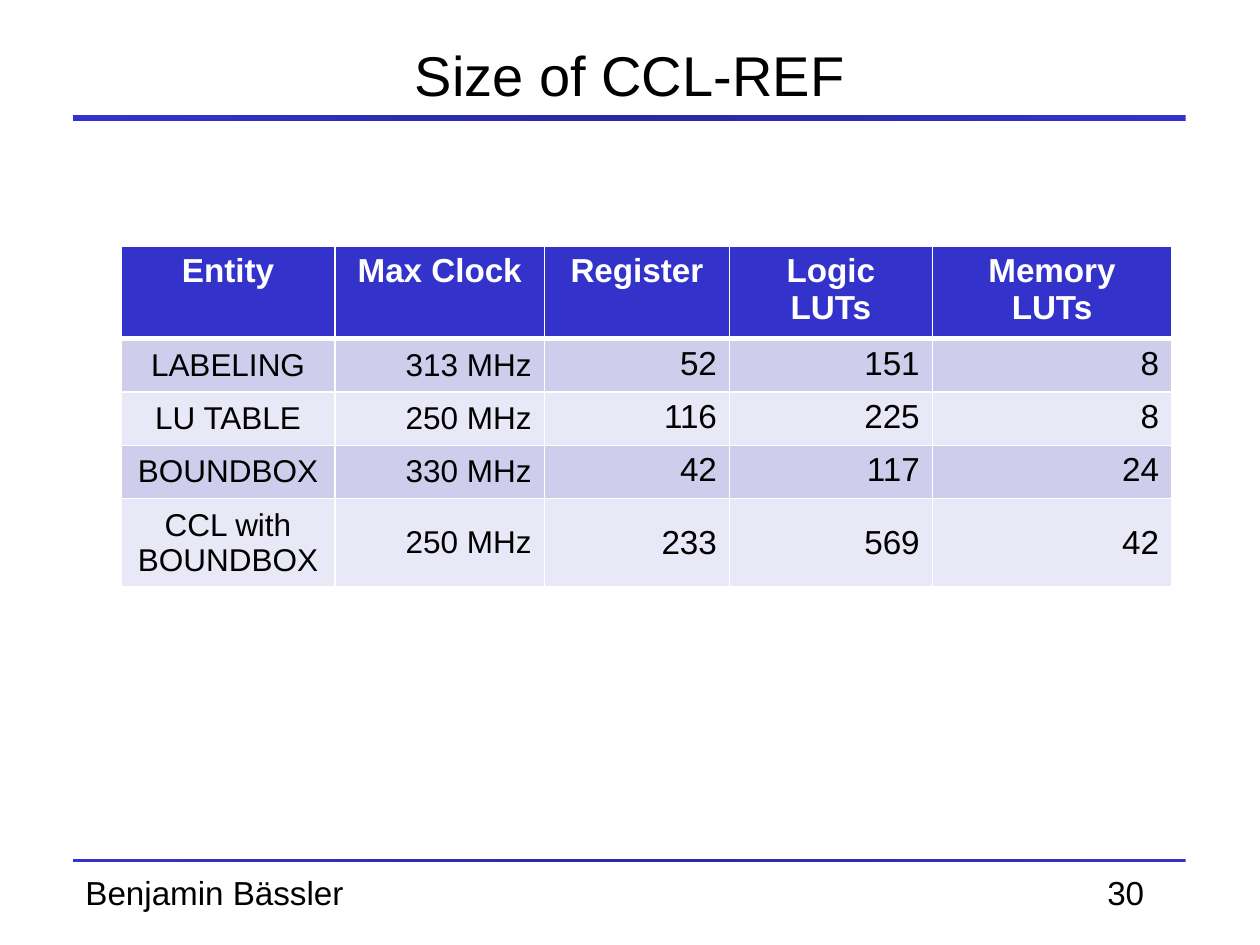
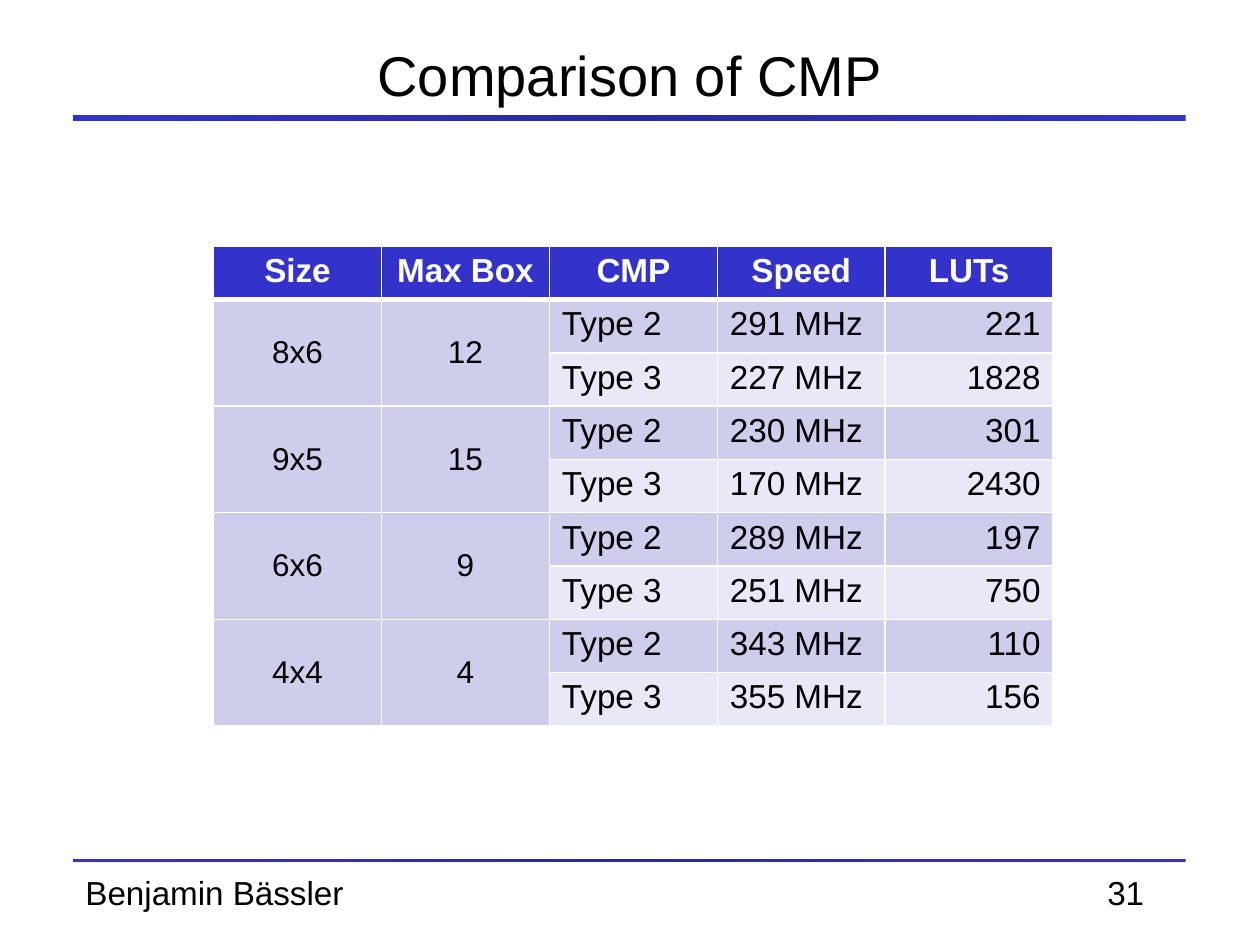
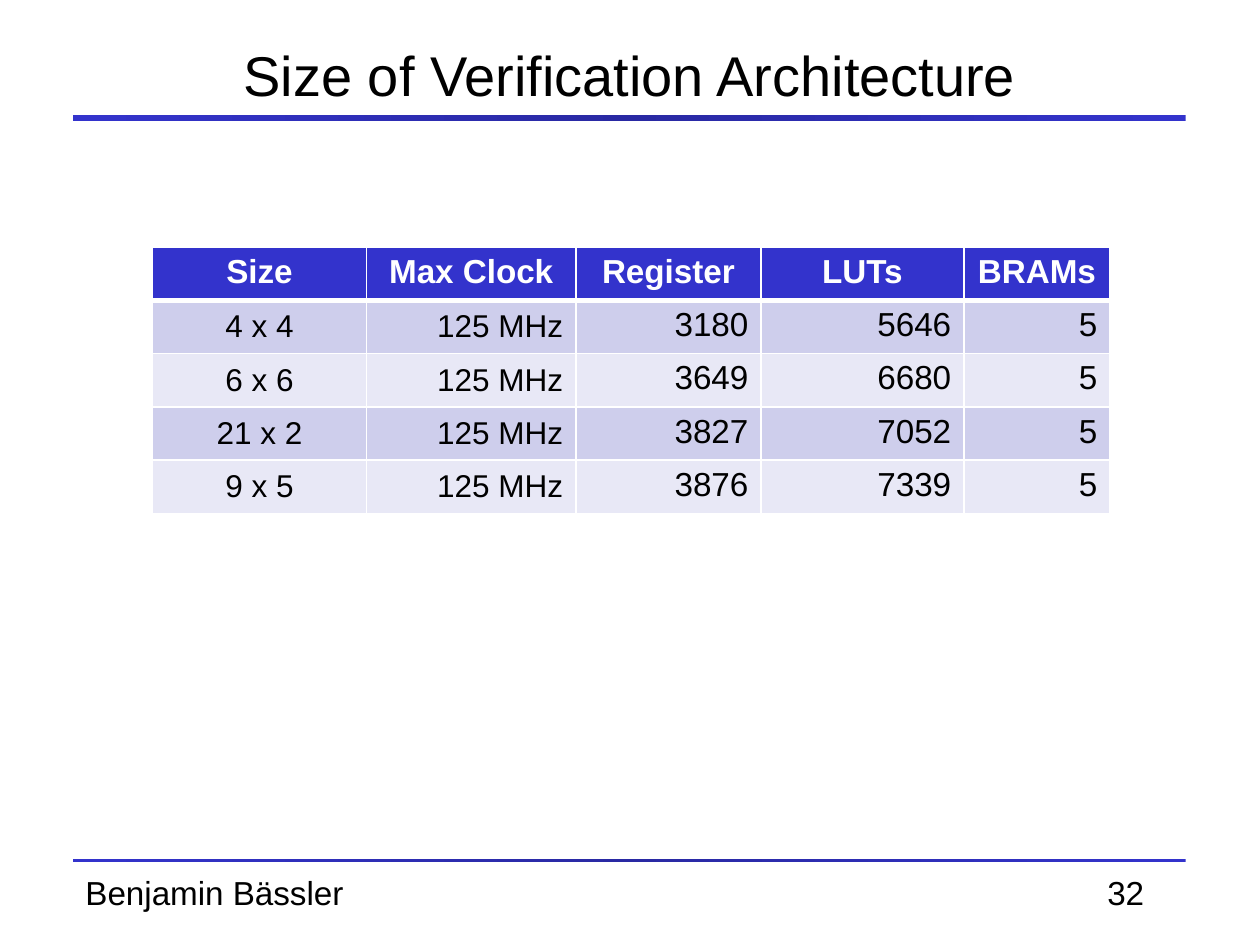
import copy

import pptx
import pptx.dml.color
import pptx.enum.shapes
import pptx.enum.text
import pptx.oxml.ns
import pptx.oxml.xmlchemy
import pptx.util
from lxml import etree

COLORS = {
    "ink": "000000",
    "white": "FFFFFF",
    "blue": "3333CC",
    "deep": "2929A3",
    "band": "CECEEC",
    "pale": "E8E8F6",
}
FONT = "Arial"
AUTHOR = "Benjamin Bässler"
FIRST_NUMBER = 30

ALIGN = {
    "l": pptx.enum.text.PP_ALIGN.LEFT,
    "c": pptx.enum.text.PP_ALIGN.CENTER,
    "r": pptx.enum.text.PP_ALIGN.RIGHT,
}
TOP = pptx.enum.text.MSO_ANCHOR.TOP
MIDDLE = pptx.enum.text.MSO_ANCHOR.MIDDLE

deck = pptx.Presentation()
deck.slide_width = pptx.util.Inches(10)
deck.slide_height = pptx.util.Inches(7.5)

# Layout grid: 100 columns by 75 rows
COLUMN = deck.slide_width / 100
ROW = deck.slide_height / 75


def place(box):
    left, top, width, height = box
    return (round(left * COLUMN), round(top * ROW),
            round(width * COLUMN), round(height * ROW))


def rgb(name):
    return pptx.dml.color.RGBColor.from_string(COLORS[name])


def write(frame, text, size=19, color="ink", bold=False, align="l"):
    para = frame.paragraphs[0]
    para.alignment = ALIGN[align]
    span = para.add_run()
    span.text = text
    span.font.name = FONT
    span.font.size = pptx.util.Pt(size)
    span.font.bold = bold
    span.font.color.rgb = rgb(color)


def add_text(page, box, text, anchor=TOP, **style):
    frame = page.shapes.add_textbox(*place(box)).text_frame
    frame.word_wrap = True
    frame.vertical_anchor = anchor
    write(frame, text, **style)


def add_rule(page, box):
    """A thin bar that fades from blue to deep blue and back."""
    bar = page.shapes.add_shape(pptx.enum.shapes.MSO_SHAPE.RECTANGLE, *place(box))
    bar.shadow.inherit = False
    bar.line.fill.background()
    bar.fill.gradient()
    bar.fill.gradient_angle = 0
    stops = bar._element.spPr.find(".//" + pptx.oxml.ns.qn("a:gsLst"))
    stops.append(copy.deepcopy(stops[-1]))
    fade = ((0, "blue"), (0.5, "deep"), (1, "blue"))
    for stop, (position, color) in zip(bar.fill.gradient_stops, fade):
        stop.position = position
        stop.color.rgb = rgb(color)


def add_borders(cell, top=1, bottom=1):
    properties = cell._tc.get_or_add_tcPr()
    for side, points in (("L", 1), ("R", 1), ("T", top), ("B", bottom)):
        line = etree.SubElement(properties, pptx.oxml.ns.qn("a:ln" + side),
                                w=str(pptx.util.Pt(points)))
        fill = etree.SubElement(line, pptx.oxml.ns.qn("a:solidFill"))
        etree.SubElement(fill, pptx.oxml.ns.qn("a:srgbClr"), val=COLORS["white"])


def add_frame(page, title, number):
    """Title, the two rules and the footer."""
    add_rule(page, (5.8, 9.1, 88.3, 0.5))
    add_rule(page, (5.8, 68.2, 88.3, 0.2))
    add_text(page, (5.8, 68.7, 27.7, 4.2), AUTHOR)
    add_text(page, (86.9, 68.7, 7.3, 4.2), str(number))
    add_text(page, (7.5, 1.3, 85, 9.2), title, anchor=MIDDLE, size=32, align="c")


def add_results(page, corner, widths, rows, aligns, middle_rows=(), row_height=4.23):
    """Header row, two key columns in smaller type, then values; None joins the cell above."""
    box = (*corner, sum(widths), row_height * len(rows))
    table = page.shapes.add_table(len(rows), len(widths), *place(box)).table
    table.horz_banding = False
    for column, width in zip(table.columns, widths):
        column.width = round(width * COLUMN)
    for r, values in enumerate(rows):
        table.rows[r].height = round(row_height * ROW)
        for c, value in enumerate(values):
            cell = table.cell(r, c)
            add_borders(cell, top=3 if r == 1 else 1, bottom=3 if r == 0 else 1)
            cell.fill.solid()
            if r == 0:
                cell.fill.fore_color.rgb = rgb("blue")
                write(cell.text_frame, value, color="white", bold=True, align="c")
                continue
            striped = r % 2 == 1 or value is None
            cell.fill.fore_color.rgb = rgb("band" if striped else "pale")
            if value is None:
                table.cell(r - 1, c).merge(cell)
                continue
            is_key = c < 2
            cell.vertical_anchor = MIDDLE if is_key or r in middle_rows else TOP
            write(cell.text_frame, value, size=18 if is_key else 19, align=aligns[c])


WIDTHS = [17, 16.6, 14.7, 16.1]

# Each pair of rows compares both types for one size
COMPARISON = [
    ("8x6", "12", ("291", "221"), ("227", "1828")),
    ("9x5", "15", ("230", "301"), ("170", "2430")),
    ("6x6", "9", ("289", "197"), ("251", "750")),
    ("4x4", "4", ("343", "110"), ("355", "156")),
]
comparison_rows = [("Size", "Max Box", "CMP", "Speed", "LUTs")]
for size, largest, second, third in COMPARISON:
    comparison_rows += [
        (size, largest, "Type 2", second[0] + " MHz", second[1]),
        (None, None, "Type 3", third[0] + " MHz", third[1]),
    ]

SLIDES = [
    ("Size of CCL-REF", dict(
        corner=(9.6, 19.55), widths=WIDTHS + [19], aligns="crrrr", middle_rows={4},
        rows=[
            ("Entity", "Max Clock", "Register", "Logic LUTs", "Memory LUTs"),
            ("LABELING", "313 MHz", "52", "151", "8"),
            ("LU TABLE", "250 MHz", "116", "225", "8"),
            ("BOUNDBOX", "330 MHz", "42", "117", "24"),
            ("CCL with BOUNDBOX", "250 MHz", "233", "569", "42"),
        ])),
    ("Comparison of CMP", dict(
        corner=(16.95, 19.55), widths=[13.33] * 5, aligns="ccllr",
        rows=comparison_rows)),
    ("Size of Verification Architecture", dict(
        corner=(12.1, 19.6), widths=WIDTHS + [11.6], aligns="crrrr",
        rows=[
            ("Size", "Max Clock", "Register", "LUTs", "BRAMs"),
            ("4 x 4", "125 MHz", "3180", "5646", "5"),
            ("6 x 6", "125 MHz", "3649", "6680", "5"),
            ("21 x 2", "125 MHz", "3827", "7052", "5"),
            ("9 x 5", "125 MHz", "3876", "7339", "5"),
        ])),
]

for number, (title, results) in enumerate(SLIDES, FIRST_NUMBER):
    page = deck.slides.add_slide(deck.slide_layouts[6])
    add_frame(page, title, number)
    add_results(page, **results)

deck.save("out.pptx")
